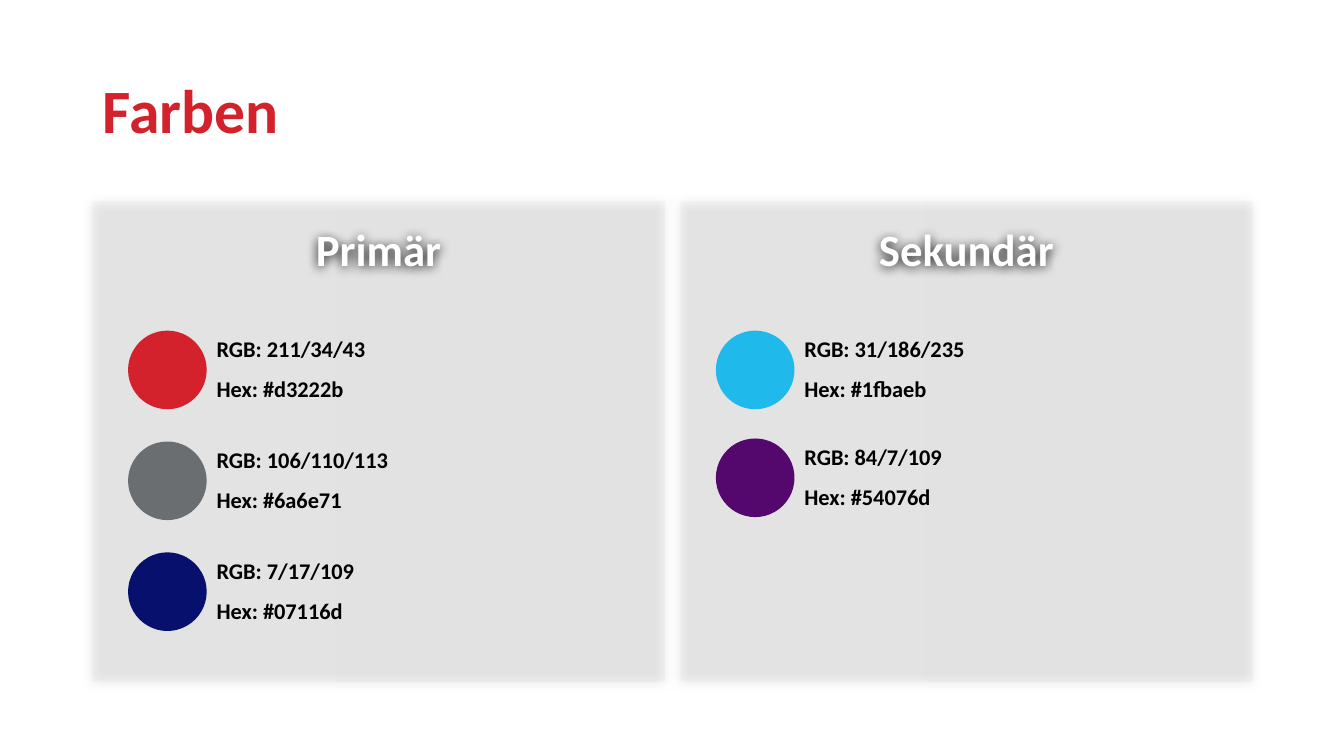
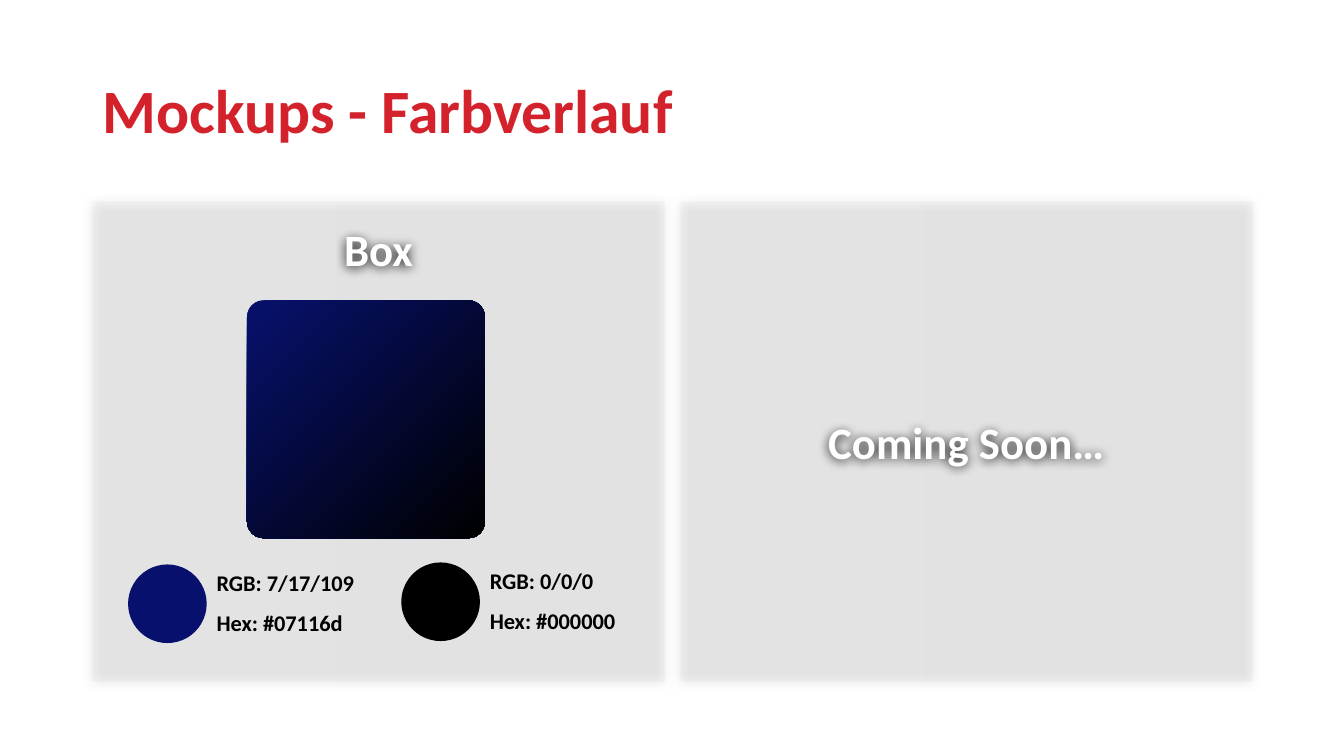
from lxml import etree
from pptx import Presentation
from pptx.dml.color import RGBColor
from pptx.enum.shapes import MSO_SHAPE
from pptx.enum.text import MSO_ANCHOR, PP_ALIGN
from pptx.oxml.ns import qn
from pptx.util import Inches, Pt

# Shared style
FONT = "Calibri"
RED = RGBColor(0xD3, 0x22, 0x2B)
GREY = RGBColor(0x6A, 0x6E, 0x71)
NAVY = RGBColor(0x07, 0x11, 0x6D)
CYAN = RGBColor(0x1F, 0xBA, 0xEB)
PURPLE = RGBColor(0x54, 0x07, 0x6D)
BLACK = RGBColor(0, 0, 0)
WHITE = RGBColor(0xFF, 0xFF, 0xFF)
PANEL_STOPS = [(0, RGBColor(0xD2, 0xD2, 0xD2)),
               (50, RGBColor(0xC8, 0xC8, 0xC8)),
               (100, RGBColor(0xC0, 0xC0, 0xC0))]

# Shared grid, in inches
MARGIN, CONTENT_WIDTH = 0.92, 11.5
PANEL_TOP, PANEL_WIDTH, PANEL_HEIGHT = 2, 5.67, 4.76
PANEL_LEFTS = (MARGIN, MARGIN + CONTENT_WIDTH - PANEL_WIDTH)
SWATCH_INDENT, SWATCH_SIZE = 0.35, 0.78
LABEL_WIDTH, LABEL_HEIGHT = 1.93, 0.37


def style_text(paragraph, size, color, alignment=PP_ALIGN.LEFT):
    paragraph.alignment = alignment
    font = paragraph.font
    font.name, font.size, font.bold = FONT, Pt(size), True
    font.color.rgb = color


def add_plain_shape(shapes, kind, left, top, width, height):
    shape = shapes.add_shape(kind, Inches(left), Inches(top),
                             Inches(width), Inches(height))
    shape.line.fill.background()
    shape.shadow.inherit = False
    return shape


def fill_gradient(shape, stops, clockwise_angle, opacity=100):
    shape.fill.gradient()
    shape.fill.gradient_angle = -clockwise_angle % 360
    stop_list = shape.element.spPr.find(".//" + qn("a:gsLst"))
    for stop in list(stop_list):
        stop_list.remove(stop)
    for position, color in stops:
        stop = etree.SubElement(stop_list, qn("a:gs"), pos=str(position * 1000))
        value = etree.SubElement(stop, qn("a:srgbClr"), val=str(color))
        if opacity < 100:
            etree.SubElement(value, qn("a:alpha"), val=str(opacity * 1000))


def add_soft_shadow(shape):
    effects = shape.element.spPr.find(qn("a:effectLst"))
    shadow = etree.SubElement(effects, qn("a:outerShdw"), blurRad=str(Pt(8.5)),
                              dist=str(Pt(1)), dir="5400000", algn="ctr",
                              rotWithShape="0")
    etree.SubElement(shadow, qn("a:srgbClr"), val=str(BLACK))


def add_titled_slide(presentation, title):
    slide = presentation.slides.add_slide(presentation.slide_layouts[5])
    shape = slide.shapes.title
    shape.left, shape.top = Inches(MARGIN), Inches(0.4)
    shape.width, shape.height = Inches(CONTENT_WIDTH), Inches(1.45)
    shape.text_frame.text = title
    shape.text_frame.vertical_anchor = MSO_ANCHOR.MIDDLE
    paragraph = shape.text_frame.paragraphs[0]
    paragraph.line_spacing = 0.9
    style_text(paragraph, 44, RED)
    return slide


def add_panel(slide, left, heading, anchor=MSO_ANCHOR.TOP):
    panel = add_plain_shape(slide.shapes, MSO_SHAPE.RECTANGLE, left, PANEL_TOP,
                            PANEL_WIDTH, PANEL_HEIGHT)
    fill_gradient(panel, PANEL_STOPS, 0, opacity=10)
    add_soft_shadow(panel)
    frame = panel.text_frame
    frame.margin_left = frame.margin_right = Inches(0.2)
    frame.margin_top = frame.margin_bottom = Inches(0.2)
    frame.vertical_anchor = anchor
    frame.text = heading
    style_text(frame.paragraphs[0], 32, WHITE, PP_ALIGN.CENTER)


def add_swatch(slide, left, top, color):
    """Group a colour disc with its RGB and hex values."""
    shapes = slide.shapes.add_group_shape().shapes
    disc = add_plain_shape(shapes, MSO_SHAPE.OVAL, left, top,
                           SWATCH_SIZE, SWATCH_SIZE)
    disc.fill.solid()
    disc.fill.fore_color.rgb = color
    red, green, blue = color
    labels = (f"RGB: {red}/{green}/{blue}", f"Hex: #{str(color).lower()}")
    for row, label in enumerate(labels):
        box = shapes.add_textbox(
            Inches(left + SWATCH_SIZE), Inches(top + row * SWATCH_SIZE / 2),
            Inches(LABEL_WIDTH), Inches(LABEL_HEIGHT))
        box.text_frame.word_wrap = True
        box.text_frame.text = label
        style_text(box.text_frame.paragraphs[0], 16, BLACK)


def add_palette(slide, left, heading, colors, pitch):
    add_panel(slide, left, heading)
    for row, color in enumerate(colors):
        add_swatch(slide, left + SWATCH_INDENT,
                   PANEL_TOP + 1.28 + row * pitch, color)


def add_gradient_sample(slide, left, heading, start, end):
    add_panel(slide, left, heading)
    sample = add_plain_shape(slide.shapes, MSO_SHAPE.ROUNDED_RECTANGLE,
                             left + 1.53, PANEL_TOP + 0.98, 2.36, 2.36)
    sample.adjustments[0] = 0.07
    fill_gradient(sample, [(0, start), (100, end)], 45)
    add_swatch(slide, left + SWATCH_INDENT, PANEL_TOP + 3.6, start)
    add_swatch(slide, left + 3.06, PANEL_TOP + 3.58, end)


presentation = Presentation()
presentation.slide_width = Inches(13.33)
presentation.slide_height = Inches(7.5)
left_panel, right_panel = PANEL_LEFTS

# Colour palettes
colors_slide = add_titled_slide(presentation, "Farben")
add_palette(colors_slide, left_panel, "Primär", (RED, GREY, NAVY), 1.1)
add_palette(colors_slide, right_panel, "Sekundär", (CYAN, PURPLE), 1.07)

# Gradient mockups
gradient_slide = add_titled_slide(presentation, "Mockups - Farbverlauf")
add_gradient_sample(gradient_slide, left_panel, "Box", NAVY, BLACK)
add_panel(gradient_slide, right_panel, "Coming Soon…", MSO_ANCHOR.MIDDLE)

presentation.save("out.pptx")
